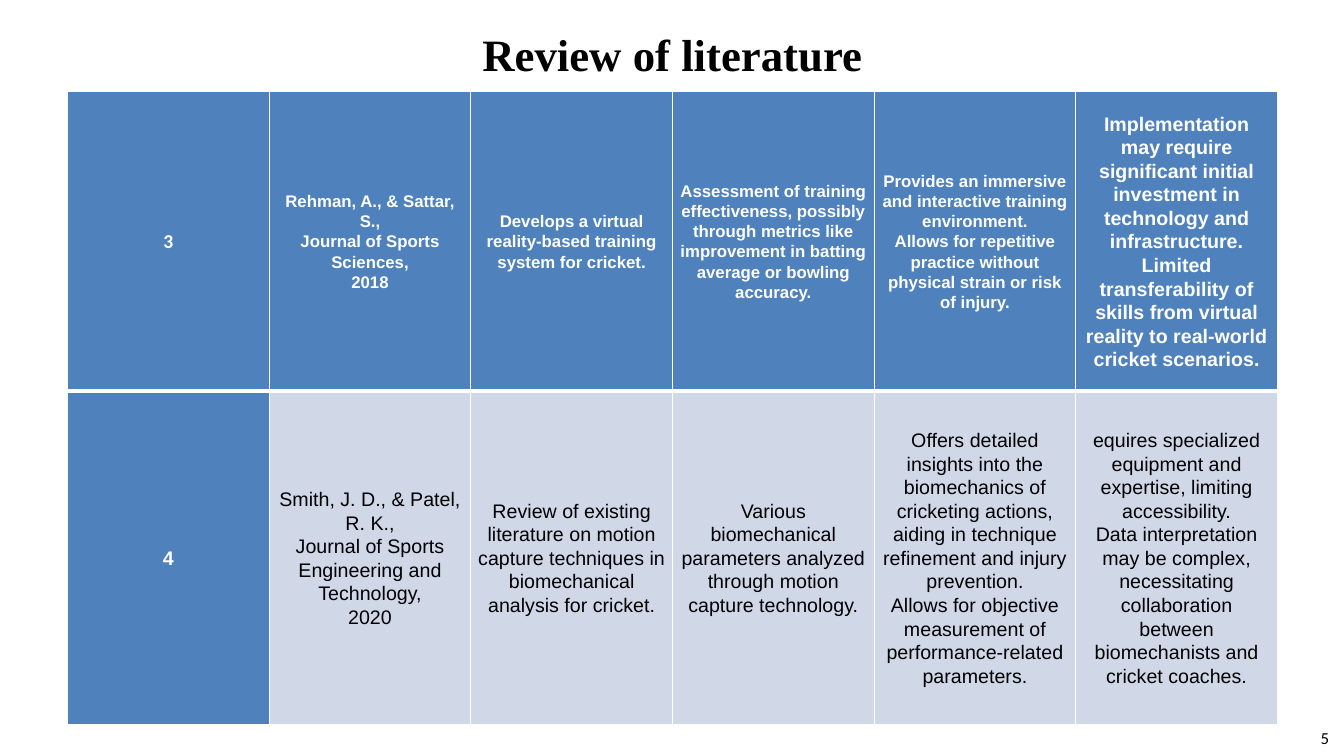
import pptx
import pptx.util
import pptx.dml.color
import pptx.enum.text
import pptx.oxml
import pptx.oxml.ns

RGBColor = pptx.dml.color.RGBColor
Align = pptx.enum.text.PP_ALIGN
Anchor = pptx.enum.text.MSO_ANCHOR

# Content: each cell is a tuple of lines
TITLE = "Review of literature"
PAGE_NUMBER = "5"
STUDIES = [
    [
        ("3",),
        ("Rehman, A., & Sattar, S.,", "Journal of Sports Sciences,", "2018"),
        ("Develops a virtual reality-based training system for cricket.",),
        ("Assessment of training effectiveness, possibly through metrics like "
         "improvement in batting average or bowling accuracy.",),
        ("Provides an immersive and interactive training environment.",
         "Allows for repetitive practice without physical strain or risk of injury."),
        ("Implementation may require significant initial investment in "
         "technology and infrastructure.",
         "Limited transferability of skills from virtual reality to "
         "real-world cricket scenarios."),
    ],
    [
        ("4",),
        ("Smith, J. D., & Patel, R. K.,",
         "Journal of Sports Engineering and Technology,", "2020"),
        ("Review of existing literature on motion capture techniques in "
         "biomechanical analysis for cricket.",),
        ("Various biomechanical parameters analyzed through motion capture technology.",),
        ("Offers detailed insights into the biomechanics of cricketing actions, "
         "aiding in technique refinement and injury prevention.",
         "Allows for objective measurement of performance-related parameters."),
        ("equires specialized equipment and expertise, limiting accessibility.",
         "Data interpretation may be complex, necessitating collaboration "
         "between biomechanists and cricket coaches."),
    ],
]

# Colours and lengths (100 px to the inch)
BLACK = RGBColor(0x00, 0x00, 0x00)
WHITE = RGBColor(0xFF, 0xFF, 0xFF)
BLUE = RGBColor(0x4F, 0x81, 0xBD)
PALE_BLUE = RGBColor(0xD0, 0xD8, 0xE8)
EMU_PER_PX = 9144
SLIDE_SIZE = (1333, 750)
TITLE_BOX = (67, -73, 1200, 225)
PAGE_NUMBER_BOX = (1195, 717, 133, 30)
TABLE_LEFT, TABLE_TOP = 67, 91
COLUMN_WIDTH = 200
ROW_HEIGHTS = (297, 331)
CELL_INSET = 7
THIN, THICK = 1, 3


def px(length):
    return pptx.util.Emu(length * EMU_PER_PX)


def add_run(paragraph, text, font_name, size, color, bold=False):
    run = paragraph.add_run()
    run.text = text
    run.font.name = font_name
    run.font.size = pptx.util.Pt(size)
    run.font.bold = bold
    run.font.color.rgb = color


def set_borders(cell, widths):
    properties = cell._tc.get_or_add_tcPr()
    for position, (side, width) in enumerate(widths.items()):
        properties.insert(position, pptx.oxml.parse_xml(
            f'<a:ln{side} {pptx.oxml.ns.nsdecls("a")} w="{pptx.util.Pt(width)}">'
            f'<a:solidFill><a:srgbClr val="{WHITE}"/></a:solidFill></a:ln{side}>'))


def fill_cell(cell, lines, row, column):
    is_header = row == 0 or column == 0
    cell.fill.solid()
    cell.fill.fore_color.rgb = BLUE if is_header else PALE_BLUE
    cell.vertical_anchor = Anchor.MIDDLE
    cell.margin_left = cell.margin_right = px(CELL_INSET)
    cell.margin_top = cell.margin_bottom = 0
    set_borders(cell, {"L": THIN, "R": THIN,
                       "T": THICK if row == 1 else THIN,
                       "B": THICK if row == 0 else THIN})

    paragraph = cell.text_frame.paragraphs[0]
    paragraph.alignment = Align.CENTER
    paragraph.line_spacing = 1.07
    font_name = "Calibri" if row == column == 0 else "Arial"
    size = 12 if row == 0 and 1 <= column <= 4 else 14
    for index, line in enumerate(lines):
        if index:
            paragraph.add_line_break()
        add_run(paragraph, line, font_name, size,
                WHITE if is_header else BLACK, bold=is_header)


def main():
    presentation = pptx.Presentation()
    presentation.slide_width, presentation.slide_height = map(px, SLIDE_SIZE)
    slide = presentation.slides.add_slide(presentation.slide_layouts[5])

    # Title
    title = slide.shapes.title
    title.left, title.top, title.width, title.height = map(px, TITLE_BOX)
    title.text_frame.vertical_anchor = Anchor.MIDDLE
    paragraph = title.text_frame.paragraphs[0]
    paragraph.alignment = Align.CENTER
    paragraph.line_spacing = 1.5
    add_run(paragraph, TITLE, "Times New Roman", 32, BLACK, bold=True)

    # Literature table
    column_count = len(STUDIES[0])
    table = slide.shapes.add_table(
        len(STUDIES), column_count, px(TABLE_LEFT), px(TABLE_TOP),
        px(COLUMN_WIDTH * column_count), px(sum(ROW_HEIGHTS))).table
    for table_column in table.columns:
        table_column.width = px(COLUMN_WIDTH)
    for row, study in enumerate(STUDIES):
        table.rows[row].height = px(ROW_HEIGHTS[row])
        for column, lines in enumerate(study):
            fill_cell(table.cell(row, column), lines, row, column)

    # Page number
    page_number = slide.shapes.add_textbox(*map(px, PAGE_NUMBER_BOX))
    page_number.text_frame.word_wrap = True
    paragraph = page_number.text_frame.paragraphs[0]
    paragraph.alignment = Align.RIGHT
    add_run(paragraph, PAGE_NUMBER, "Calibri", 12, BLACK)

    presentation.save("out.pptx")


if __name__ == "__main__":
    main()
